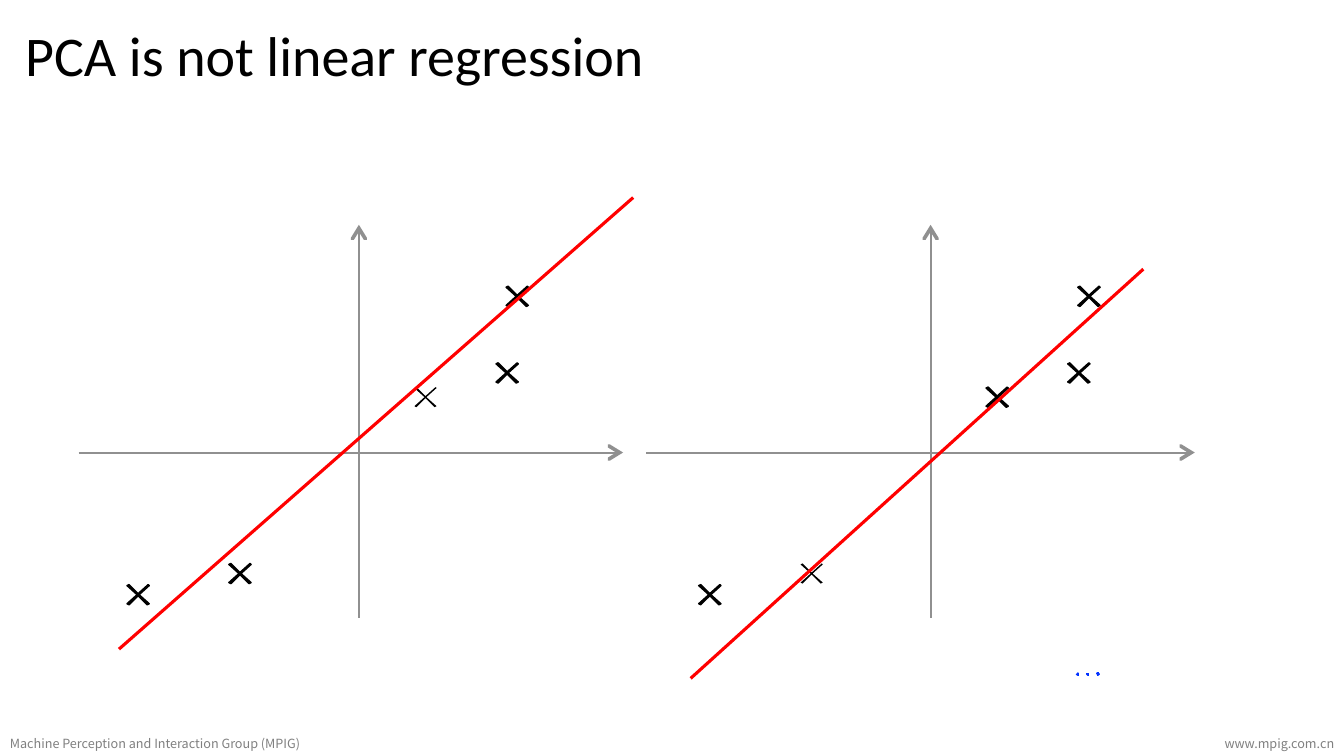
"""Build a slide contrasting PCA with linear regression on two scatter plots."""
from lxml import etree
from pptx import Presentation
from pptx.dml.color import RGBColor
from pptx.enum.shapes import MSO_CONNECTOR
from pptx.enum.text import MSO_ANCHOR, PP_ALIGN
from pptx.oxml.ns import qn
from pptx.util import Inches, Pt

BLACK = RGBColor(0x00, 0x00, 0x00)
GRAY = RGBColor(0x90, 0x90, 0x90)
FOOTER_GRAY = RGBColor(0x80, 0x80, 0x80)
RED = RGBColor(0xFF, 0x00, 0x00)
BLUE = RGBColor(0x03, 0x32, 0xFF)

prs = Presentation()
prs.slide_width = Inches(13.33)
prs.slide_height = Inches(7.5)
slide = prs.slides.add_slide(prs.slide_layouts[5])


def draw_line(start, end, color, width):
    line = slide.shapes.add_connector(
        MSO_CONNECTOR.STRAIGHT, *[Inches(value) for value in (*start, *end)])
    line.line.color.rgb = color
    line.line.width = Pt(width)
    etree.SubElement(line.element.spPr, qn("a:effectLst"))


def draw_outline(points, fill=None, stroke=None, width=0):
    corners = [(Inches(x), Inches(y)) for x, y in points]
    builder = slide.shapes.build_freeform(*corners[0])
    builder.add_line_segments(corners[1:], close=fill is not None)
    outline = builder.convert_to_shape()
    outline.shadow.inherit = False
    if fill is None:
        outline.fill.background()
    else:
        outline.fill.solid()
        outline.fill.fore_color.rgb = fill
    if stroke is None:
        outline.line.fill.background()
    else:
        outline.line.color.rgb = stroke
        outline.line.width = Pt(width)


title = slide.shapes.title
title.left, title.top = Inches(0.15), Inches(0.15)
title.width, title.height = Inches(6.78), Inches(0.77)
title_frame = title.text_frame
title_frame.text = "PCA is not linear regression"
title_frame.vertical_anchor = MSO_ANCHOR.TOP
title_frame.paragraphs[0].alignment = PP_ALIGN.LEFT
title_font = title_frame.paragraphs[0].runs[0].font
title_font.name, title_font.size = "Calibri", Pt(40)
title_font.color.rgb = BLACK

footers = [
    ("Machine Perception and Interaction Group (MPIG)", 0, 5.69, PP_ALIGN.LEFT),
    ("www.mpig.com.cn", 9.5, 3.83, PP_ALIGN.RIGHT),
]
for wording, left, width, alignment in footers:
    footer = slide.shapes.add_textbox(
        Inches(left), Inches(7.25), Inches(width), Inches(0.25))
    footer.text_frame.word_wrap = True
    footer.text_frame.text = wording
    paragraph = footer.text_frame.paragraphs[0]
    paragraph.alignment = alignment
    footer_font = paragraph.runs[0].font
    footer_font.name, footer_font.size = "Noto Sans CJK TC", Pt(9)
    footer_font.color.rgb = FOOTER_GRAY

origin_y = 4.49
arrowhead = [(0, 0), (0.08, 0.13), (0.08, 0.15), (0.05, 0.15),
             (0, 0.07), (-0.05, 0.15), (-0.08, 0.15), (-0.08, 0.13)]
cross = [(-0.09, -0.1), (0, -0.01), (0.1, -0.1), (0.11, -0.09),
         (0.01, 0), (0.11, 0.09), (0.09, 0.1), (0, 0.01),
         (-0.09, 0.1), (-0.11, 0.09), (-0.01, 0), (-0.11, -0.09)]
samples = [(0.66, -0.55), (1.57, -1.55), (1.47, -0.79),
           (-2.19, 1.41), (-1.18, 1.2)]
plots = [(3.56, 0.78, samples[0]), (9.23, 6.41, samples[4])]

for origin_x, axis_left, thin_sample in plots:
    draw_line((origin_x, 6.13), (origin_x, 2.26), GRAY, 1.5)
    draw_line((axis_left, origin_y), (origin_x + 2.58, origin_y), GRAY, 1.5)
    draw_outline([(origin_x + x, 2.23 + y) for x, y in arrowhead], GRAY)
    draw_outline([(origin_x + 2.62 - y, origin_y + x) for x, y in arrowhead], GRAY)
    for sample in samples:
        center_x, center_y = origin_x + sample[0], origin_y + sample[1]
        draw_outline([(center_x + x, center_y + y) for x, y in cross], BLACK,
                     None if sample == thin_sample else BLACK, 1.05)

pen_marks = [
    [(10.68, 6.68), (10.69, 6.69), (10.7, 6.69)],
    [(10.79, 6.68), (10.79, 6.69), (10.8, 6.69)],
    [(10.88, 6.69), (10.89, 6.69), (10.89, 6.68), (10.9, 6.68)],
]
for pen_mark in pen_marks:
    draw_outline(pen_mark, stroke=BLUE, width=2.25)

draw_line((1.18, 6.44), (6.28, 1.96), RED, 2.25)
draw_line((6.85, 6.73), (11.34, 2.67), RED, 2.25)

prs.save("out.pptx")
